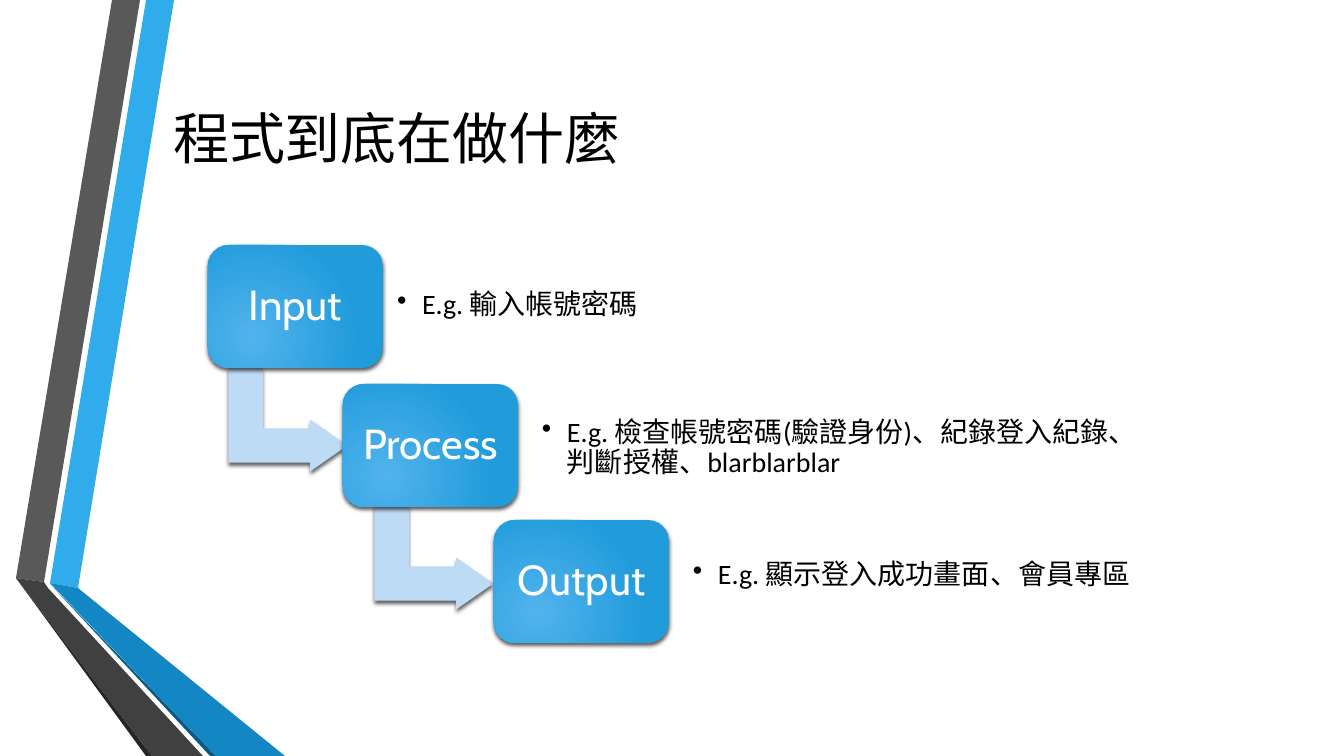
from pptx import Presentation
from pptx.dml.color import RGBColor
from pptx.enum.shapes import MSO_SHAPE
from pptx.enum.text import MSO_ANCHOR, MSO_AUTO_SIZE, PP_ALIGN
from pptx.oxml import parse_xml
from pptx.oxml.ns import nsdecls
from pptx.util import Pt

PX = 914400 / 100.8
COLORS = {
    "sky": "30ACEC", "gray": "595959", "dark": "262626", "navy": "0C5A82",
    "blue": "1287C3", "coal": "404040", "pale": "BEDBF6", "glow": "51B3ED",
    "edge": "219CDB", "black": "000000", "white": "FFFFFF",
}
TITLE = "程式到底在做什麼"
STEPS = [
    ("Input", (208, 245), "E.g. 輸入帳號密碼", (389, 256, 565, 99)),
    ("Process", (343, 384), "E.g. 檢查帳號密碼(驗證身份)、紀錄登入紀錄、判斷授權、blarblarblar",
     (534, 399, 631, 99)),
    ("Output", (494, 520), "E.g. 顯示登入成功畫面、會員專區", (685, 526, 502, 99)),
]
ARROWS = [(236, 360), (382, 498)]
BANDS = [
    ("sky", [(50, 583), (78, 588), (174, 0), (146, 0)]),
    ("gray", [(140, 0), (112, 0), (16, 578), (44, 582)]),
    ("dark", [(16, 578), (146, 756), (152, 756)]),
    ("navy", [(50, 584), (210, 756), (216, 756)]),
    ("blue", [(50, 583), (216, 756), (285, 756), (78, 588)]),
    ("coal", [(203, 756), (48, 588), (44, 582), (16, 578), (152, 756)]),
]


def px(*nums):
    return [round(n * PX) for n in nums]


def color(name):
    return RGBColor.from_string(COLORS[name])


def paint(shape, name):
    shape.fill.solid()
    shape.fill.fore_color.rgb = color(name)
    shape.line.fill.background()
    shape.shadow.inherit = False


def shade(shape):
    blur, dist = Pt(3), Pt(2)
    shape._element.spPr.find("{*}effectLst").append(parse_xml(
        f'<a:outerShdw {nsdecls("a")} blurRad="{blur}" dist="{dist}" dir="5400000" '
        f'algn="ctr" rotWithShape="0"><a:srgbClr val="{COLORS["black"]}">'
        '<a:alpha val="64000"/></a:srgbClr></a:outerShdw>'))


def glow(shape):
    old = shape._element.spPr.find("{*}solidFill")
    old.getparent().replace(old, parse_xml(
        f'<a:gradFill {nsdecls("a")} rotWithShape="1"><a:gsLst>'
        f'<a:gs pos="0"><a:srgbClr val="{COLORS["glow"]}"/></a:gs>'
        f'<a:gs pos="100000"><a:srgbClr val="{COLORS["edge"]}"/></a:gs></a:gsLst>'
        '<a:path path="circle"><a:fillToRect l="50000" t="100000" r="100000" b="50000"/>'
        '</a:path></a:gradFill>'))


def write(shape, text, size, font="Calibri", tone="black", align=PP_ALIGN.LEFT,
          inset=None, space=None, bullet=False):
    frame = shape.text_frame
    frame.word_wrap = True
    frame.auto_size = MSO_AUTO_SIZE.NONE
    frame.vertical_anchor = MSO_ANCHOR.MIDDLE
    if inset is not None:
        gap = px(inset)[0]
        frame.margin_left = frame.margin_right = gap
        frame.margin_top = frame.margin_bottom = gap
    para = frame.paragraphs[0]
    para.text = text
    para.alignment = align
    if space:
        para.line_spacing = space
    if bullet:
        props = para._p.get_or_add_pPr()
        hang = px(25)[0]
        props.set("marL", str(hang))
        props.set("indent", str(-hang))
        props.append(parse_xml(f'<a:buChar {nsdecls("a")} char="•"/>'))
    run = para.runs[0].font
    run.name, run.size = font, Pt(size)
    run.color.rgb = color(tone)


def main():
    deck = Presentation()
    deck.slide_width, deck.slide_height = px(1344, 756)
    slide = deck.slides.add_slide(deck.slide_layouts[5])
    shapes = slide.shapes

    for name, points in BANDS:
        path = shapes.build_freeform(*points[0], scale=PX)
        path.add_line_segments(points[1:], close=True)
        paint(path.convert_to_shape(), name)

    title = shapes.title
    title.left, title.top, title.width, title.height = px(163, 76, 1105, 122)
    write(title, TITLE, 40)

    for spot in ARROWS:
        arrow = shapes.add_shape(MSO_SHAPE.BENT_UP_ARROW, *px(*spot, 104, 119))
        arrow.rotation = 90
        for i, value in enumerate((0.33, 0.25, 0.36)):
            arrow.adjustments[i] = value
        paint(arrow, "pale")
        shade(arrow)

    for label, spot, note, area in STEPS:
        box = shapes.add_shape(MSO_SHAPE.ROUNDED_RECTANGLE, *px(*spot, 175, 123))
        box.adjustments[0] = 0.17
        paint(box, "edge")
        glow(box)
        shade(box)
        write(box, label, 30, font="Cabin", tone="white", align=PP_ALIGN.CENTER,
              inset=12, space=0.9)
        write(shapes.add_textbox(*px(*area)), note, 20, inset=8, space=0.9, bullet=True)

    deck.save("out.pptx")


if __name__ == "__main__":
    main()
